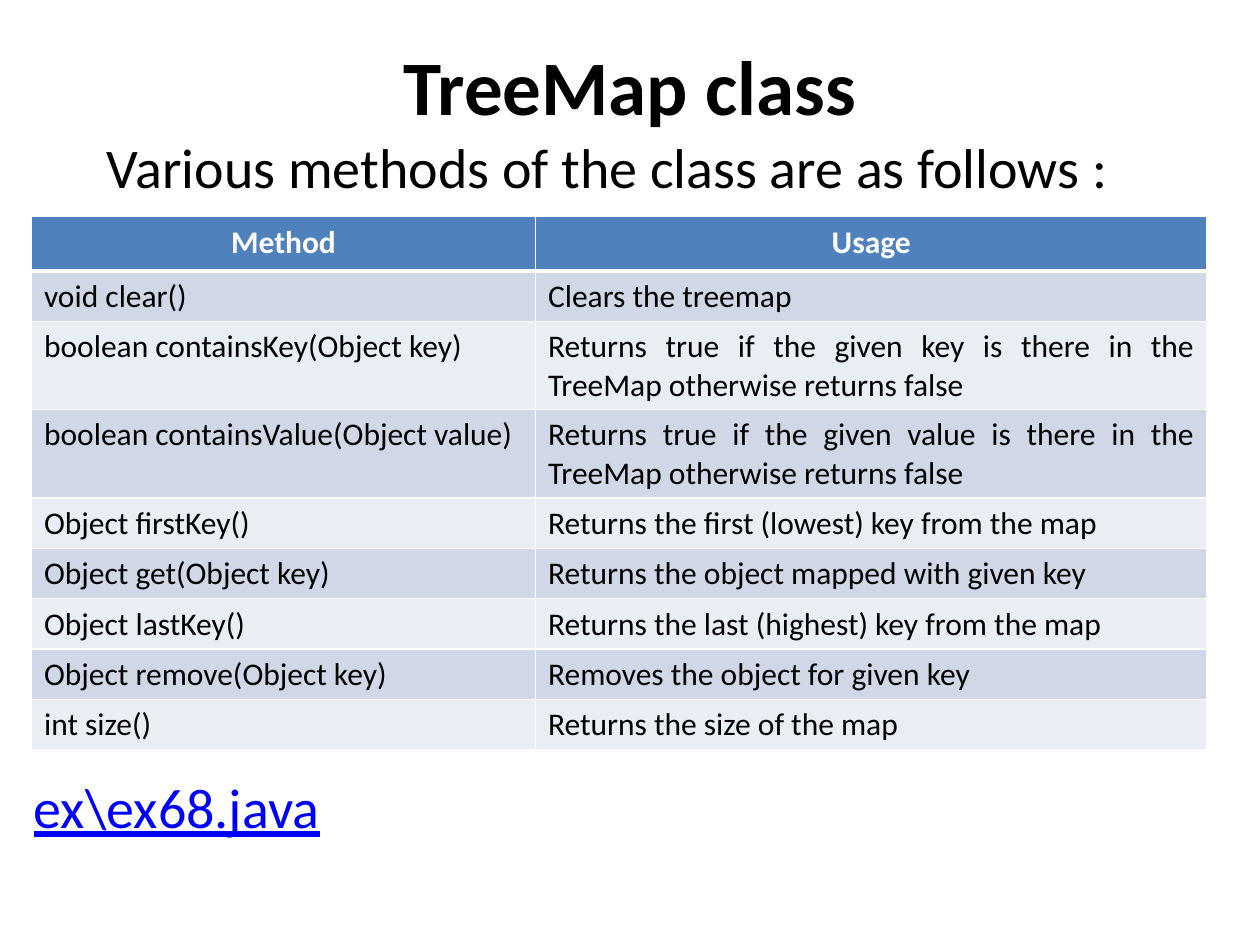
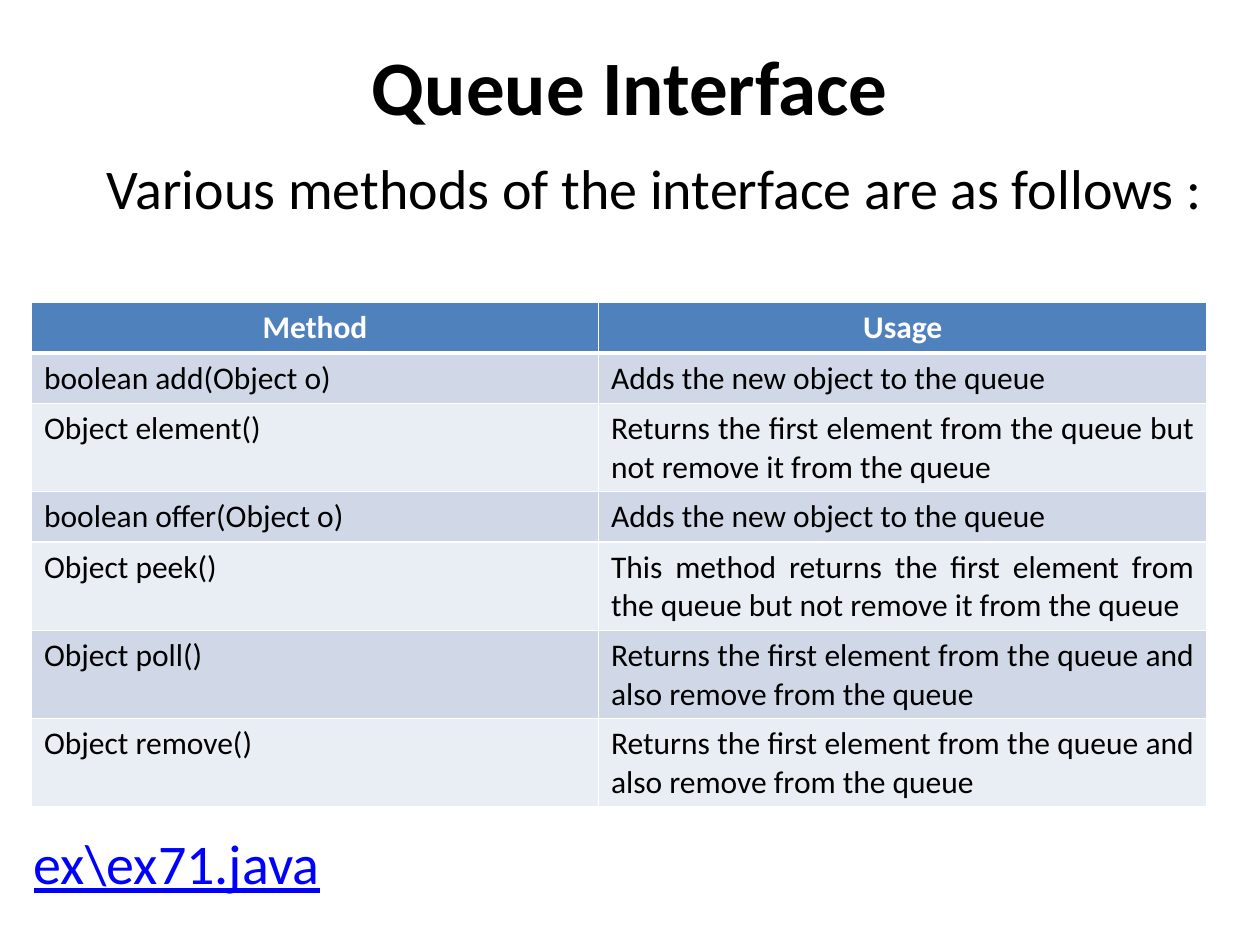
"""Builds two slides that list the methods of Java collection types."""
from lxml.etree import SubElement
from pptx import Presentation
from pptx.dml.color import RGBColor
from pptx.enum.text import MSO_ANCHOR, MSO_AUTO_SIZE, PP_ALIGN as Align
from pptx.oxml.ns import qn
from pptx.util import Inches, Pt

COLORS = {
    "text": "000000",
    "white": "FFFFFF",
    "link": "0000FF",
    "header": "4F81BD",
    "odd": "D0D8E8",
    "even": "E9EDF4",
}

FORMATS = {
    "title": {"size": Pt(44), "bold": True},
    "intro": {"size": Pt(32)},
    "link": {"size": Pt(32), "underline": True},
    "header": {"size": Pt(18), "bold": True},
    "cell": {"size": Pt(18), "bold": False},
}

LINE_HEIGHT, TWO_LINE_HEIGHT = 0.4, 0.7
WRAP_LENGTH = 50

TREE_MAP_METHODS = [
    ("void clear()", "Clears the treemap"),
    ("boolean containsKey(Object key)",
     "Returns true if the given key is there in the TreeMap otherwise returns false"),
    ("boolean containsValue(Object value)",
     "Returns true if the given value is there in the TreeMap otherwise returns false"),
    ("Object firstKey()", "Returns the first (lowest) key from the map"),
    ("Object get(Object key)", "Returns the object mapped with given key"),
    ("Object lastKey()", "Returns the last (highest) key from the map"),
    ("Object remove(Object key)", "Removes the object for given key"),
    ("int size()", "Returns the size of the map"),
]

QUEUE_METHODS = [
    ("boolean add(Object o)", "Adds the new object to the queue"),
    ("Object element()",
     "Returns the first element from the queue but not remove it from the queue"),
    ("boolean offer(Object o)", "Adds the new object to the queue"),
    ("Object peek()",
     "This method returns the first element from the queue but not remove it from the queue"),
    ("Object poll()",
     "Returns the first element from the queue and also remove from the queue"),
    ("Object remove()",
     "Returns the first element from the queue and also remove from the queue"),
]


class MethodDeck:
    """Holds the shared style and the current slide."""

    def __init__(self):
        self.presentation = Presentation()
        self.presentation.slide_width = Inches(10)
        self.presentation.slide_height = Inches(7.5)
        self.slide = None

    def set_text(self, text_frame, text, style, color, alignment):
        """Put one formatted paragraph into a text frame."""
        paragraph = text_frame.paragraphs[0]
        paragraph.alignment = alignment
        run = paragraph.add_run()
        run.text = text
        run.font.name = "Calibri"
        run.font.color.rgb = RGBColor.from_string(COLORS[color])
        for name, value in FORMATS[style].items():
            setattr(run.font, name, value)

    def add_slide(self, title):
        """Start a slide with its title."""
        layout = self.presentation.slide_layouts.get_by_name("Title Only")
        self.slide = self.presentation.slides.add_slide(layout)
        shape = self.slide.shapes.title
        shape.left, shape.top = Inches(0), Inches(0.17)
        shape.width, shape.height = Inches(10), Inches(1)
        shape.text_frame.vertical_anchor = MSO_ANCHOR.MIDDLE
        self.set_text(shape.text_frame, title, "title", "text", Align.CENTER)

    def add_text(self, text, left, top, height, style, color):
        """Add a wide justified text box."""
        shape = self.slide.shapes.add_textbox(
            Inches(left), Inches(top), Inches(9.58), Inches(height))
        shape.text_frame.word_wrap = True
        shape.text_frame.auto_size = MSO_AUTO_SIZE.SHAPE_TO_FIT_TEXT
        self.set_text(shape.text_frame, text, style, color, Align.JUSTIFY)

    def add_intro(self, text, top, height):
        """Add the sentence above the table, indented by a tab."""
        self.add_text("\t" + text, 0.25, top, height, "intro", "text")

    def add_link(self, text, top):
        """Add the example file name below the table."""
        self.add_text(text, 0.17, top, 0.64, "link", "link")

    def add_borders(self, cell, top, bottom):
        """Draw white borders round a cell."""
        properties = cell._tc.get_or_add_tcPr()
        for side, points in {"L": 1, "R": 1, "T": top, "B": bottom}.items():
            line = SubElement(properties, qn(f"a:ln{side}"), w=str(Pt(points)))
            fill = SubElement(line, qn("a:solidFill"))
            SubElement(fill, qn("a:srgbClr"), val=COLORS["white"])

    def add_cell(self, cell, text, row, column):
        """Style and fill one table cell."""
        self.add_borders(cell, 3 if row == 1 else 1, 3 if row == 0 else 1)
        band = "header" if row == 0 else "odd" if row % 2 else "even"
        cell.fill.solid()
        cell.fill.fore_color.rgb = RGBColor.from_string(COLORS[band])
        if row == 0:
            self.set_text(cell.text_frame, text, "header", "white", Align.CENTER)
        else:
            alignment = Align.JUSTIFY if column else Align.LEFT
            self.set_text(cell.text_frame, text, "cell", "text", alignment)

    def add_methods(self, methods, top, widths, header_height):
        """Add the table of methods and their usage."""
        rows = [("Method", "Usage"), *methods]
        heights = [header_height] + [
            TWO_LINE_HEIGHT if len(usage) > WRAP_LENGTH else LINE_HEIGHT
            for _, usage in methods]
        table = self.slide.shapes.add_table(
            len(rows), len(widths), Inches(0.25), Inches(top),
            Inches(sum(widths)), Inches(sum(heights))).table
        for column, width in zip(table.columns, widths):
            column.width = Inches(width)
        for row, (texts, height) in enumerate(zip(rows, heights)):
            table.rows[row].height = Inches(height)
            for column, text in enumerate(texts):
                self.add_cell(table.cell(row, column), text, row, column)


def main():
    """Build and save both slides."""
    deck = MethodDeck()

    deck.add_slide("TreeMap class")
    deck.add_intro("Various methods of the class are as follows :", 1, 0.64)
    deck.add_methods(TREE_MAP_METHODS, 1.72, (4, 5.33), 0.43)
    deck.add_link("ex\\ex68.java", 6.08)

    deck.add_slide("Queue Interface")
    deck.add_intro("Various methods of the interface are as follows :", 1.17, 1.18)
    deck.add_methods(QUEUE_METHODS, 2.4, (4.5, 4.83), LINE_HEIGHT)
    deck.add_link("ex\\ex71.java", 6.53)

    deck.presentation.save("out.pptx")


if __name__ == "__main__":
    main()
